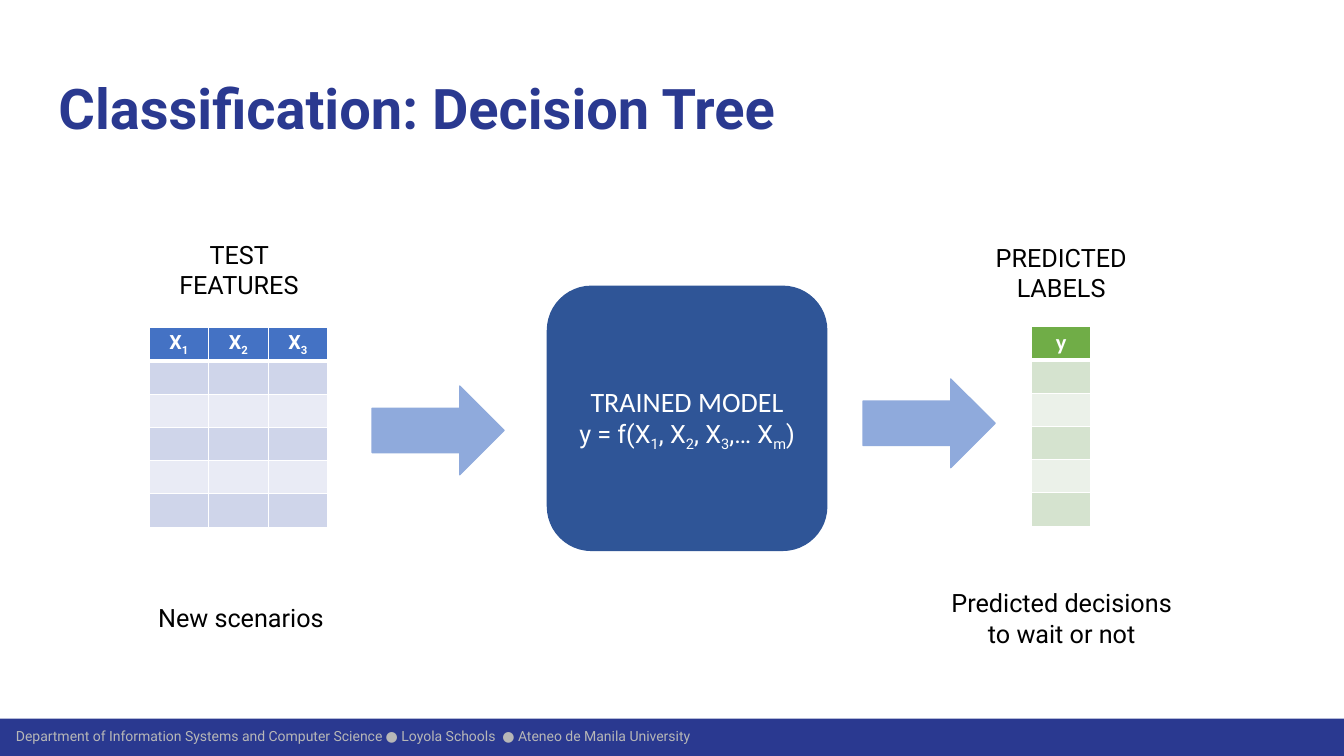
"""Build the decision tree classification slide."""
from lxml.etree import SubElement
from pptx import Presentation
from pptx.dml.color import RGBColor
from pptx.enum.shapes import MSO_SHAPE
from pptx.enum.text import MSO_ANCHOR, MSO_AUTO_SIZE, PP_ALIGN
from pptx.oxml.ns import qn
from pptx.util import Pt

SCALE = 9144
NAVY, WHITE, BLACK = "2A3990", "FFFFFF", "000000"
TITLE = ("Classification: Decision Tree", (45, 60, 1242, 89))
BAR = (0, 713, 1333, 37)
FOOT = ("Department of Information Systems and Computer Science ● "
        "Loyola Schools  ● Ateneo de Manila University", (6, 718, 1000, 24))
LABELS = [
    ("TEST FEATURES", (165, 232, 144, 71)),
    ("PREDICTED LABELS", (959, 235, 187, 71)),
    ("New scenarios", (45, 593, 388, 40)),
    ("Predicted decisions to wait or not", (929, 578, 248, 71)),
]
ARROWS = [(369, 383, 131, 88), (856, 376, 131, 88)]
MODEL = (543, 284, 277, 262)
FORMULA = [("TRAINED MODEL", 20, "Calibri"),
           ("y = f(X_1, X_2, X_3,… X_m)", 18, "Roboto")]
TABLES = [
    {"at": (148, 325), "heads": ["X_1", "X_2", "X_3"], "size": 14,
     "face": "Roboto", "fills": ("4472C4", "CFD5EA", "E9EBF5"),
     "anchor": MSO_ANCHOR.MIDDLE},
    {"at": (1023, 324), "heads": ["y"], "size": 16,
     "face": "Calibri", "fills": ("70AD47", "D5E3CF", "EBF1E9"),
     "anchor": MSO_ANCHOR.TOP},
]
ROWS, COL, ROW = 6, 59, 33


def px(*nums):
    return [num * SCALE for num in nums]


def color(code):
    return RGBColor.from_string(code)


def apply(item, **vals):
    for name, val in vals.items():
        setattr(item, name, val)


def paint(fill, code):
    fill.solid()
    fill.fore_color.rgb = color(code)


def inset(item, wide, high):
    wide, high = px(wide, high)
    apply(item, margin_left=wide, margin_right=wide,
          margin_top=high, margin_bottom=high)


def write(para, text, size, code, face="Roboto", bold=False, align=PP_ALIGN.CENTER):
    """Write text in which an underscore lowers the next letter."""
    para.alignment = align
    first, *rest = text.split("_")
    parts = [(first, False)]
    for part in rest:
        parts += [(part[0], True), (part[1:], False)]
    for part, low in parts:
        if part:
            run = para.add_run()
            run.text = part
            apply(run.font, size=Pt(size), name=face, bold=bold)
            run.font.color.rgb = color(code)
            if low:
                run._r.get_or_add_rPr().set("baseline", "-25000")


def add_form(slide, kind, box, code):
    form = slide.shapes.add_shape(kind, *px(*box))
    form.shadow.inherit = False
    paint(form.fill, code)
    paint(form.line.fill, code)
    form.line.width = Pt(1)
    return form


def add_text(slide, text, box, size, code, align=PP_ALIGN.CENTER):
    frame = slide.shapes.add_textbox(*px(*box)).text_frame
    frame.word_wrap = True
    write(frame.paragraphs[0], text, size, code, align=align)
    return frame


def edge(cell, row):
    props = cell._tc.get_or_add_tcPr()
    thick = {0: "lnB", 1: "lnT"}.get(row)
    for side in ("lnL", "lnR", "lnT", "lnB"):
        wide = Pt(3 if side == thick else 1)
        line = SubElement(props, qn("a:" + side), w=str(wide))
        SubElement(SubElement(line, qn("a:solidFill")), qn("a:srgbClr"), val=WHITE)


def add_grid(slide, data):
    heads, fills = data["heads"], data["fills"]
    count = len(heads)
    box = px(*data["at"], count * COL, ROWS * ROW)
    table = slide.shapes.add_table(ROWS, count, *box).table
    for col in table.columns:
        col.width = COL * SCALE
    for row, line in enumerate(table.rows):
        line.height = ROW * SCALE
        for cell, head in zip(line.cells, heads):
            edge(cell, row)
            paint(cell.fill, fills[2 - row % 2 if row else 0])
            inset(cell, 6, 3)
            para = cell.text_frame.paragraphs[0]
            if row:
                para._p.get_or_add_endParaRPr().set("sz", "1400")
            else:
                cell.vertical_anchor = data["anchor"]
                write(para, head, data["size"], WHITE, data["face"], True)


def main():
    deck = Presentation()
    deck.slide_width, deck.slide_height = px(1333, 750)
    slide = deck.slides.add_slide(deck.slide_layouts[5])

    add_form(slide, MSO_SHAPE.RECTANGLE, BAR, NAVY).line.fill.background()
    foot = add_text(slide, *FOOT, 10, "B7B7B7", PP_ALIGN.LEFT)
    foot.vertical_anchor = MSO_ANCHOR.MIDDLE
    inset(foot, 10, 10)

    text, box = TITLE
    title = slide.shapes.title
    apply(title, **dict(zip(("left", "top", "width", "height"), px(*box))))
    frame = title.text_frame
    apply(frame, vertical_anchor=MSO_ANCHOR.TOP, word_wrap=True,
          auto_size=MSO_AUTO_SIZE.NONE)
    inset(frame, 13, 13)
    write(frame.paragraphs[0], text, 40, NAVY, bold=True, align=PP_ALIGN.LEFT)

    for data in TABLES:
        add_grid(slide, data)
    for box in ARROWS:
        add_form(slide, MSO_SHAPE.RIGHT_ARROW, box, "8FAADC")
    model = add_form(slide, MSO_SHAPE.ROUNDED_RECTANGLE, MODEL, "2F5597").text_frame
    apply(model, vertical_anchor=MSO_ANCHOR.MIDDLE, word_wrap=True)
    model.add_paragraph()
    for para, (text, size, face) in zip(model.paragraphs, FORMULA):
        write(para, text, size, WHITE, face)
    for text, box in LABELS:
        label = add_text(slide, text, box, 18, BLACK)
        label.auto_size = MSO_AUTO_SIZE.SHAPE_TO_FIT_TEXT

    deck.save("out.pptx")


if __name__ == "__main__":
    main()
